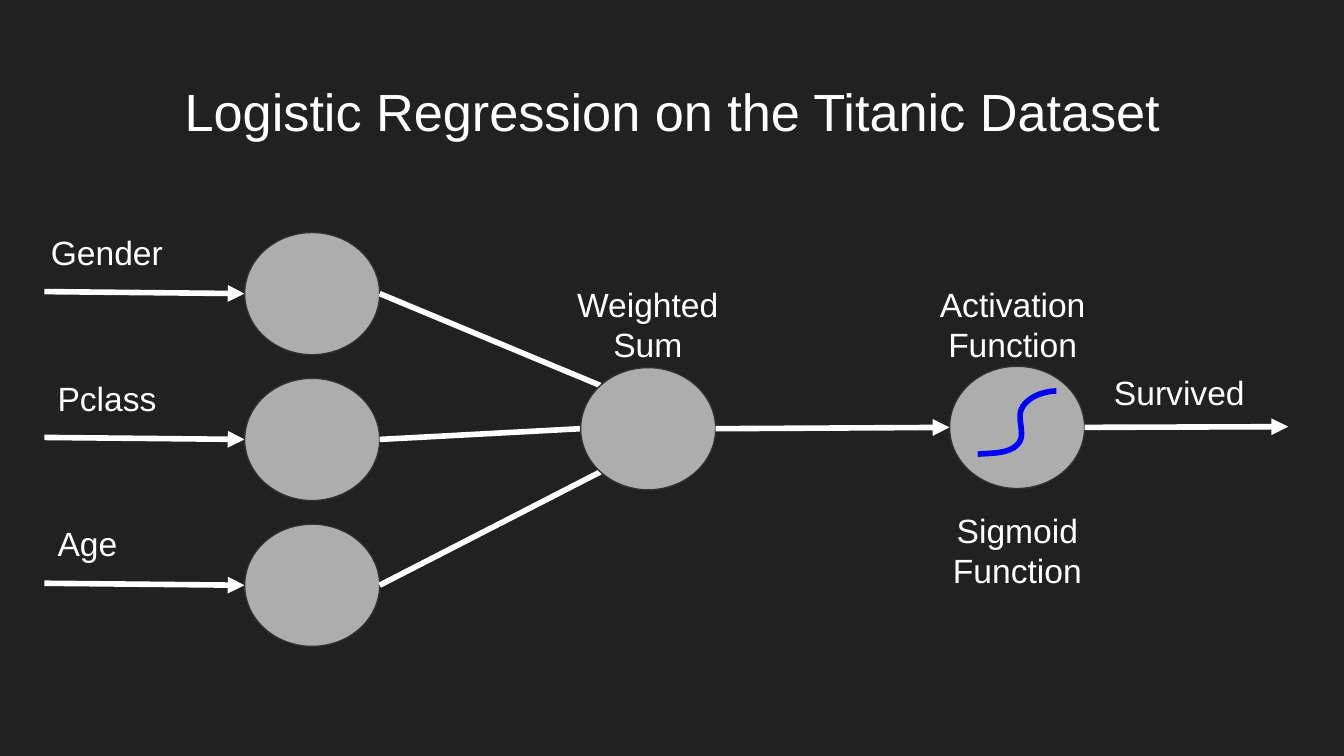
from math import sqrt

from lxml.etree import SubElement
from pptx import Presentation
from pptx.dml.color import RGBColor
from pptx.enum.shapes import MSO_CONNECTOR as Connector, MSO_SHAPE as Shape
from pptx.enum.text import PP_ALIGN as Align
from pptx.oxml.ns import qn
from pptx.util import Pt

PX = 4572  # 200 px to the inch
COLORS = {"back": "212121", "node": "ADADAD", "edge": "303030",
          "ink": "FFFFFF", "curve": "0000FF"}
NODE_W, NODE_H = 201, 182
LABEL_W, LABEL_H = 316, 94


def color(name):
    return RGBColor.from_string(COLORS[name])


def add_text(page, text, x, y, width=LABEL_W, height=LABEL_H, size=18,
             align=Align.LEFT):
    box = page.shapes.add_textbox(x * PX, y * PX, width * PX, height * PX)
    frame = box.text_frame
    frame.word_wrap = True
    frame.margin_left = frame.margin_right = 20 * PX
    frame.margin_top = frame.margin_bottom = 20 * PX
    para = frame.paragraphs[0]
    para.alignment = align
    span = para.add_run()
    span.text = text
    span.font.name = "Arial"
    span.font.size = Pt(size)
    span.font.color.rgb = color("ink")


def add_node(page, x, y):
    node = page.shapes.add_shape(Shape.OVAL, x * PX, y * PX,
                                 NODE_W * PX, NODE_H * PX)
    node.shadow.inherit = False
    node.fill.solid()
    node.fill.fore_color.rgb = color("node")
    node.line.color.rgb = color("edge")
    node.line.width = Pt(0.75)


def add_link(page, start, end, arrow=False):
    ends = [round(value * PX) for value in (*start, *end)]
    link = page.shapes.add_connector(Connector.STRAIGHT, *ends)
    link.line.color.rgb = color("ink")
    link.line.width = Pt(3)
    if arrow:
        SubElement(link.line._get_or_add_ln(), qn("a:tailEnd"), type="triangle")
    SubElement(link._element.spPr, qn("a:effectLst"))


def left_of(x, y):
    return x, y + NODE_H / 2


def right_of(x, y):
    return x + NODE_W, y + NODE_H / 2


def upper_left_of(x, y):
    inset = (1 - sqrt(0.5)) / 2
    return x + NODE_W * inset, y + NODE_H * inset


def lower_left_of(x, y):
    inset = (1 - sqrt(0.5)) / 2
    return x + NODE_W * inset, y + NODE_H * (1 - inset)


def bezier(points, steps=16):
    """Points along a cubic curve, without its start."""
    for step in range(1, steps + 1):
        t = step / steps
        weights = ((1 - t) ** 3, 3 * t * (1 - t) ** 2, 3 * t * t * (1 - t), t ** 3)
        yield tuple(sum(w * point[axis] for w, point in zip(weights, points))
                    for axis in (0, 1))


def add_sigmoid(page, x, y):
    knots = [(0, 94), (22, 92), (50, 94), (62, 76), (70, 64), (60, 44),
             (64, 30), (70, 10), (98, 0), (117, 0)]
    trail = [point for first in (0, 3, 6)
             for point in bezier(knots[first:first + 4])]
    builder = page.shapes.build_freeform(0, 94 * PX, scale=1.0)
    builder.add_line_segments([(px * PX, py * PX) for px, py in trail], close=False)
    curve = builder.convert_to_shape(x * PX, y * PX)
    curve.shadow.inherit = False
    curve.fill.background()
    curve.line.color.rgb = color("curve")
    curve.line.width = Pt(3)


def add_input(page, label, indent, x, y, target):
    """One feature: label, arrow, node and its line to the target point."""
    node = (x + 298, y + 21)
    add_link(page, (x, y + 109), left_of(*node), arrow=True)
    add_node(page, *node)
    add_link(page, right_of(*node), target)
    add_text(page, label, x + indent, y)


def add_weighted_sum(page, x, y):
    add_node(page, x, y)
    add_text(page, "Weighted Sum", x - 58, y - 145, align=Align.CENTER)


def add_activation(page, x, y):
    add_node(page, x, y)
    add_sigmoid(page, x + 42, y + 37)
    add_text(page, "Activation Function", x - 64, y - 143, align=Align.CENTER)
    add_text(page, "Sigmoid Function", x - 57, y + 194, align=Align.CENTER)
    exit_x, exit_y = right_of(x, y)
    add_link(page, (exit_x, exit_y), (exit_x + 303, exit_y - 1), arrow=True)
    add_text(page, "Survived", x + 225, y - 11)


def add_network(page, x, y):
    total, activation = (x + 798, y + 222), (x + 1347, y + 220)
    inputs = [("Gender", -10, upper_left_of), ("Pclass", 0, left_of),
              ("Age", 0, lower_left_of)]
    for row, (label, indent, side) in enumerate(inputs):
        add_input(page, label, indent, x, y + row * 217, side(*total))
    add_weighted_sum(page, *total)
    add_link(page, right_of(*total), left_of(*activation), arrow=True)
    add_activation(page, *activation)


def main():
    deck = Presentation()
    deck.slide_width, deck.slide_height = 2000 * PX, 1125 * PX
    page = deck.slides.add_slide(deck.slide_layouts[6])
    page.background.fill.solid()
    page.background.fill.fore_color.rgb = color("back")
    add_text(page, "Logistic Regression on the Titanic Dataset", 68, 98, 1864, 126,
             size=28, align=Align.CENTER)
    add_network(page, 66, 325)
    deck.save("out.pptx")


if __name__ == "__main__":
    main()
